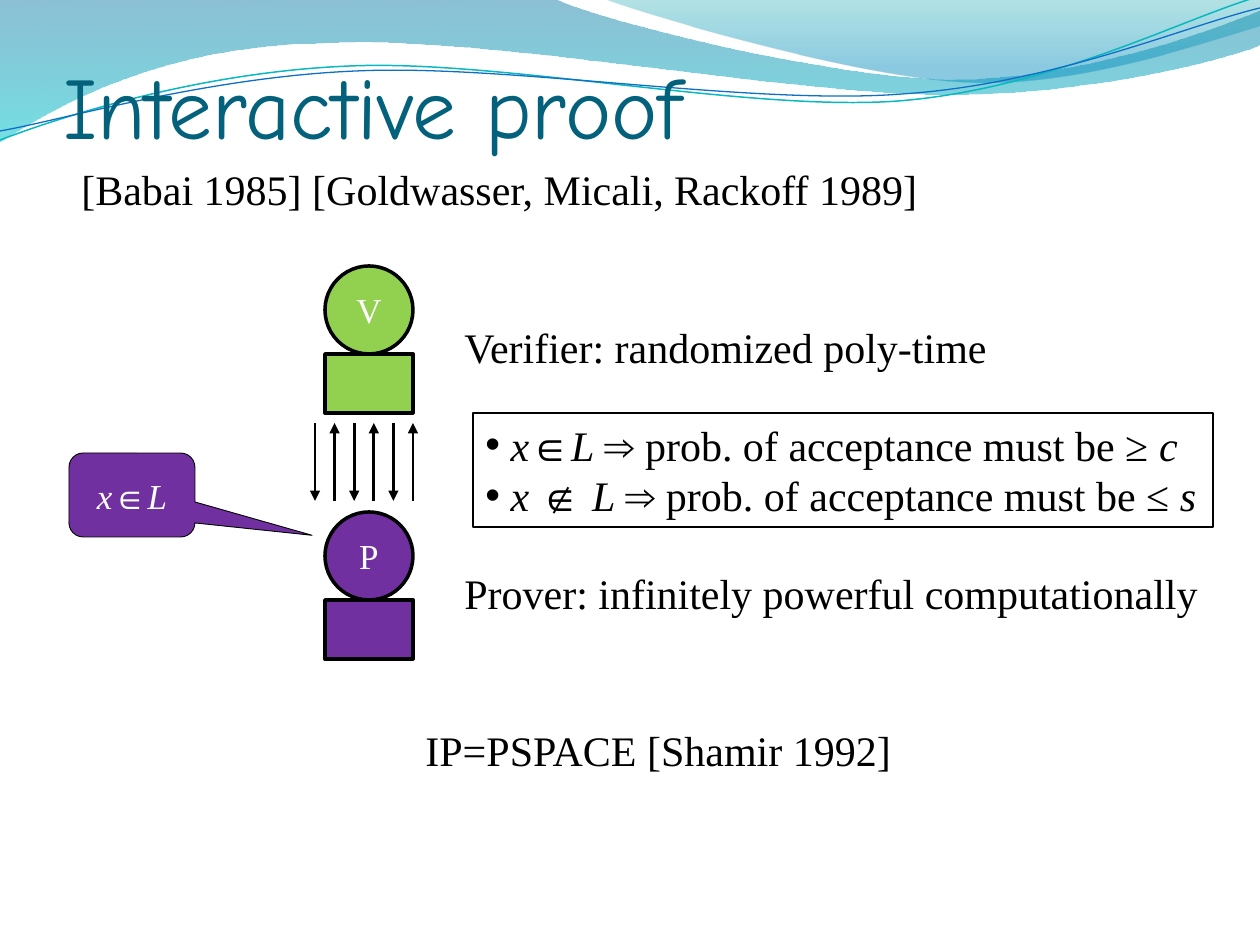
from lxml import etree
from pptx import Presentation
from pptx import util as u
from pptx.dml.color import RGBColor
from pptx.enum import shapes, text
from pptx.oxml.ns import qn

PX = u.Inches(1) / 126
SERIF = "Times New Roman"
BLACK = RGBColor(0, 0, 0)
WHITE = RGBColor(255, 255, 255)
NAVY = RGBColor(0x04, 0x61, 0x7B)
GREEN = RGBColor(0x92, 0xD0, 0x50)
PURPLE = RGBColor(0x70, 0x30, 0xA0)
TEAL = RGBColor(0x0A, 0xB8, 0xBF)
BLUE = RGBColor(0x0F, 0x6F, 0xC6)

# Waves: start point, then segments; two numbers make a line, six a curve.
BANDS = [
    ((0, 0), [(555, -1), (600, 21, 837, 79, 955, 79),
              (1074, 79, 1207, 33, 1260, 11), (1261, 45),
              (1239, 55, 1096, 96, 940, 94), (784, 94, 481, 35, 324, 43),
              (163, 45, 58, 105, -1, 142), (0, 0)],
     [(0, RGBColor(0x00, 0x74, 0xA1), 45), (1, RGBColor(0x00, 0xC6, 0xCF), 55)]),
    ((604, -1), [(641, 14, 859, 78, 969, 82),
                 (1079, 87, 1211, 40, 1260, 26), (1260, 0), (604, -1)],
     [(0, RGBColor(0x00, 0xA1, 0xA9), 30), (0.8, RGBColor(0x00, 0x8B, 0xBF), 45)]),
]
CURVES = [
    ((0, 140), [(60, 117, 199, 72, 349, 66), (498, 59, 747, 112, 898, 101),
                (1050, 89, 1182, 19, 1257, -3)], TEAL, 0.85),
    ((0, 131), [(59, 121, 207, 77, 357, 71), (508, 64, 752, 106, 903, 94),
                (1053, 84, 1185, 26, 1260, 8)], BLUE, 0.75),
]
TITLE = "Interactive proof"
LABELS = [
    ("[Babai 1985] [Goldwasser, Micali, Rackoff 1989]", (69, 157, 869, 63)),
    ("IP=PSPACE [Shamir 1992]", (413, 718, 496, 63)),
    ("Verifier: randomized poly-time", (452, 315, 553, 63)),
    ("Prover: infinitely powerful computationally", (452, 561, 766, 63)),
]
ACTORS = [("V", 266, GREEN), ("P", 512, PURPLE)]
# Runs between asterisks are italic.
CLAIM = "*x*∈*L"
RULES = [" *x*∈*L *⇒ prob. of acceptance must be ≥ *c",
         " *x *∉ *L *⇒ prob. of acceptance must be ≤ *s"]


def px(*nums):
    return [u.Emu(round(n * PX)) for n in nums]


def wave(start, segs, close):
    """Freeform through the segment ends, with its curves bent to Beziers."""
    ends = [seg[-2:] for seg in segs]
    form = slide.shapes.build_freeform(*start, scale=PX)
    form.add_line_segments(ends, close=close)
    shape = form.convert_to_shape()
    shape.shadow.inherit = False
    left, top = (min(axis) for axis in zip(start, *ends))
    for step, seg in zip(list(shape._element.iter(qn("a:lnTo"))), segs):
        if len(seg) == 6:
            step.tag = qn("a:cubicBezTo")
            for i in (0, 2):
                pt = etree.Element(qn("a:pt"), x=str(seg[i] - left),
                                   y=str(seg[i + 1] - top))
                step.insert(i // 2, pt)
    return shape


def write(shape, lines, size, color, align=text.PP_ALIGN.LEFT):
    frame = shape.text_frame
    frame.word_wrap = False
    for i, line in enumerate(lines):
        par = frame.add_paragraph() if i else frame.paragraphs[0]
        par.alignment = align
        par.font.size = u.Pt(size)
        par.font.name = SERIF
        par.font.color.rgb = color
        for j, part in enumerate(line.split("*")):
            if part:
                run = par.add_run()
                run.text = part
                run.font.italic = j % 2 == 1
    return frame


def label(lines, box):
    shape = slide.shapes.add_textbox(*px(*box))
    frame = write(shape, lines, 24, BLACK)
    frame.auto_size = text.MSO_AUTO_SIZE.SHAPE_TO_FIT_TEXT
    return shape


def block(parent, kind, box, fill, width):
    shape = parent.add_shape(kind, *px(*box))
    shape.shadow.inherit = False
    shape.fill.solid()
    shape.fill.fore_color.rgb = fill
    shape.line.color.rgb = BLACK
    shape.line.width = u.Pt(width)
    return shape


def center(shape, line):
    frame = write(shape, [line], 20, WHITE, text.PP_ALIGN.CENTER)
    frame.vertical_anchor = text.MSO_ANCHOR.MIDDLE


def arrow(x, y1, y2):
    line = slide.shapes.add_connector(shapes.MSO_CONNECTOR.STRAIGHT,
                                      *px(x, y1, x, y2))
    line.line.color.rgb = BLACK
    line.line.width = u.Pt(1.5)
    etree.SubElement(line.line._get_or_add_ln(), qn("a:tailEnd"), type="triangle")
    etree.SubElement(line._element.spPr, qn("a:effectLst"))


prs = Presentation()
prs.slide_width, prs.slide_height = px(1260, 945)
slide = prs.slides.add_slide(prs.slide_layouts[5])

for start, segs, stops in BANDS:
    band = wave(start, segs, True)
    band.line.fill.background()
    band.fill.gradient()
    band.fill.gradient_angle = 270
    for stop, (pos, color, _) in zip(band.fill.gradient_stops, stops):
        stop.position = pos
        stop.color.rgb = color
    tints = list(band._element.spPr.iter(qn("a:srgbClr")))
    for tint, (_, _, alpha) in zip(tints, stops):
        etree.SubElement(tint, qn("a:alpha"), val=str(alpha * 1000))
for start, segs, color, width in CURVES:
    curve = wave(start, segs, False)
    curve.fill.background()
    curve.line.color.rgb = color
    curve.line.width = u.Pt(width)

title = slide.shapes.title
slide.shapes._spTree.append(title._element)  # in front of the waves
title.left, title.top, title.width, title.height = px(63, 0, 1134, 157)
title.text = TITLE
frame = title.text_frame
frame.auto_size = text.MSO_AUTO_SIZE.NONE
frame.vertical_anchor = text.MSO_ANCHOR.BOTTOM
frame.margin_left = frame.margin_right = frame.margin_bottom = 0
par = frame.paragraphs[0]
par.alignment = text.PP_ALIGN.LEFT
par.font.size = u.Pt(50)
par.font.name = "Comic Neue"
par.font.color.rgb = NAVY

for line, box in LABELS:
    label([line], box)

for name, top, color in ACTORS:
    group = slide.shapes.add_group_shape().shapes
    head = block(group, shapes.MSO_SHAPE.OVAL, (325, top, 88, 88), color, 2)
    center(head, name)
    block(group, shapes.MSO_SHAPE.RECTANGLE, (325, top + 88, 88, 59), color, 2)

for i in range(6):
    ends = (501, 423) if i % 2 else (423, 501)
    arrow(315 + i * 98 / 5, *ends)

claim = block(slide.shapes, shapes.MSO_SHAPE.ROUNDED_RECTANGULAR_CALLOUT,
              (69, 453, 126, 84), PURPLE, 0.5)
for i, value in enumerate((1.43, 0.48, 0.17)):
    claim.adjustments[i] = value
center(claim, CLAIM)

rules = label(RULES, (473, 413, 740, 114))
rules.line.color.rgb = BLACK
rules.line.width = u.Pt(0.75)
for par in rules.text_frame.paragraphs:
    props = par._p.get_or_add_pPr()
    props.insert(0, etree.Element(qn("a:buFont"), typeface="Arial"))
    props.insert(1, etree.Element(qn("a:buChar"), char="•"))

prs.save("out.pptx")
